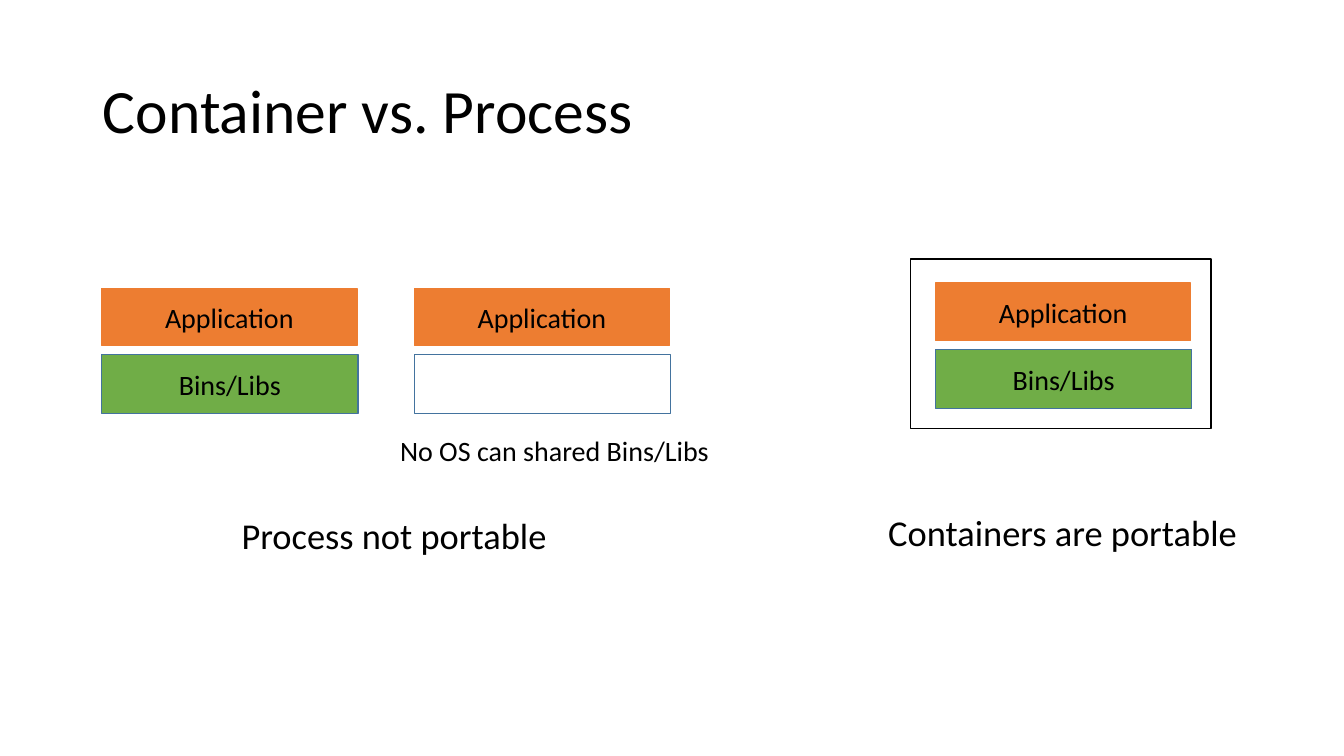
import pptx
import pptx.util
import pptx.dml.color
import pptx.enum.shapes
import pptx.enum.text

Inches = pptx.util.Inches
FONT = "Calibri"
COLORS = {
    "text": "000000",
    "white": "FFFFFF",
    "application": "ED7D31",
    "libraries": "70AD47",
    "libraries_line": "43739E",
}


def rgb(name):
    return pptx.dml.color.RGBColor.from_string(COLORS[name])


def set_text(shape, text, size, alignment=pptx.enum.text.PP_ALIGN.CENTER):
    shape.text_frame.text = text
    paragraph = shape.text_frame.paragraphs[0]
    paragraph.alignment = alignment
    font = paragraph.runs[0].font
    font.name = FONT
    font.size = pptx.util.Pt(size)
    font.color.rgb = rgb("text")


def place_title(slide, text):
    title = slide.shapes.title
    title.left, title.top = Inches(0.92), Inches(0.4)
    title.width, title.height = Inches(11.5), Inches(1.45)
    set_text(title, text, 44, pptx.enum.text.PP_ALIGN.LEFT)
    title.text_frame.vertical_anchor = pptx.enum.text.MSO_ANCHOR.MIDDLE
    title.text_frame.paragraphs[0].line_spacing = 0.9


def add_box(slide, left, top, width, height, fill, line, text=""):
    box = slide.shapes.add_shape(
        pptx.enum.shapes.MSO_SHAPE.RECTANGLE,
        Inches(left), Inches(top), Inches(width), Inches(height))
    box.shadow.inherit = False
    box.fill.solid()
    box.fill.fore_color.rgb = rgb(fill)
    box.line.color.rgb = rgb(line)
    box.line.width = pptx.util.Pt(1)
    if text:
        set_text(box, text, 20)
        box.text_frame.vertical_anchor = pptx.enum.text.MSO_ANCHOR.MIDDLE


def add_stack(slide, left, top, has_libraries=True):
    """Add an application box above its libraries, or above an empty slot."""
    add_box(slide, left, top, 2.53, 0.57, "application", "application", "Application")
    fill, text = ("libraries", "Bins/Libs") if has_libraries else ("white", "")
    add_box(slide, left, top + 0.655, 2.54, 0.59, fill, "libraries_line", text)


def add_caption(slide, left, top, height, text, size):
    caption = slide.shapes.add_textbox(
        Inches(left), Inches(top), Inches(3.84), Inches(height))
    caption.text_frame.word_wrap = True
    caption.text_frame.auto_size = pptx.enum.text.MSO_AUTO_SIZE.SHAPE_TO_FIT_TEXT
    set_text(caption, text, size)


def main():
    presentation = pptx.Presentation()
    presentation.slide_width = Inches(13.33)
    presentation.slide_height = Inches(7.5)
    slide = presentation.slides.add_slide(presentation.slide_layouts.get_by_name("Title Only"))

    add_box(slide, 9.03, 2.57, 2.98, 1.68, "white", "text")
    place_title(slide, "Container vs. Process")
    add_stack(slide, 1.01, 2.86)
    add_stack(slide, 4.11, 2.86, has_libraries=False)
    add_stack(slide, 9.28, 2.81)
    add_caption(slide, 1.99, 5.04, 0.54, "Process not portable", 26)
    add_caption(slide, 8.62, 5.01, 0.54, "Containers are portable", 26)
    add_caption(slide, 3.58, 4.25, 0.44, "No OS can shared Bins/Libs", 20)

    presentation.save("out.pptx")


if __name__ == "__main__":
    main()
